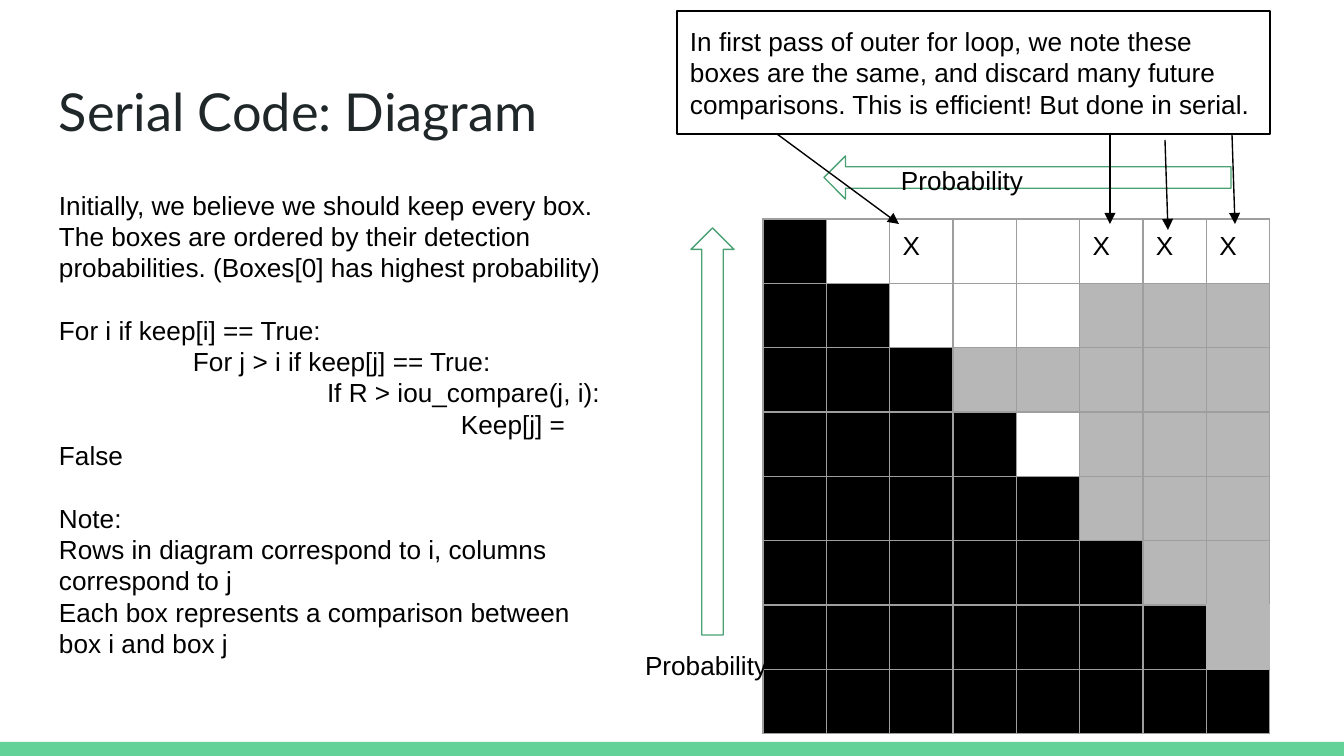
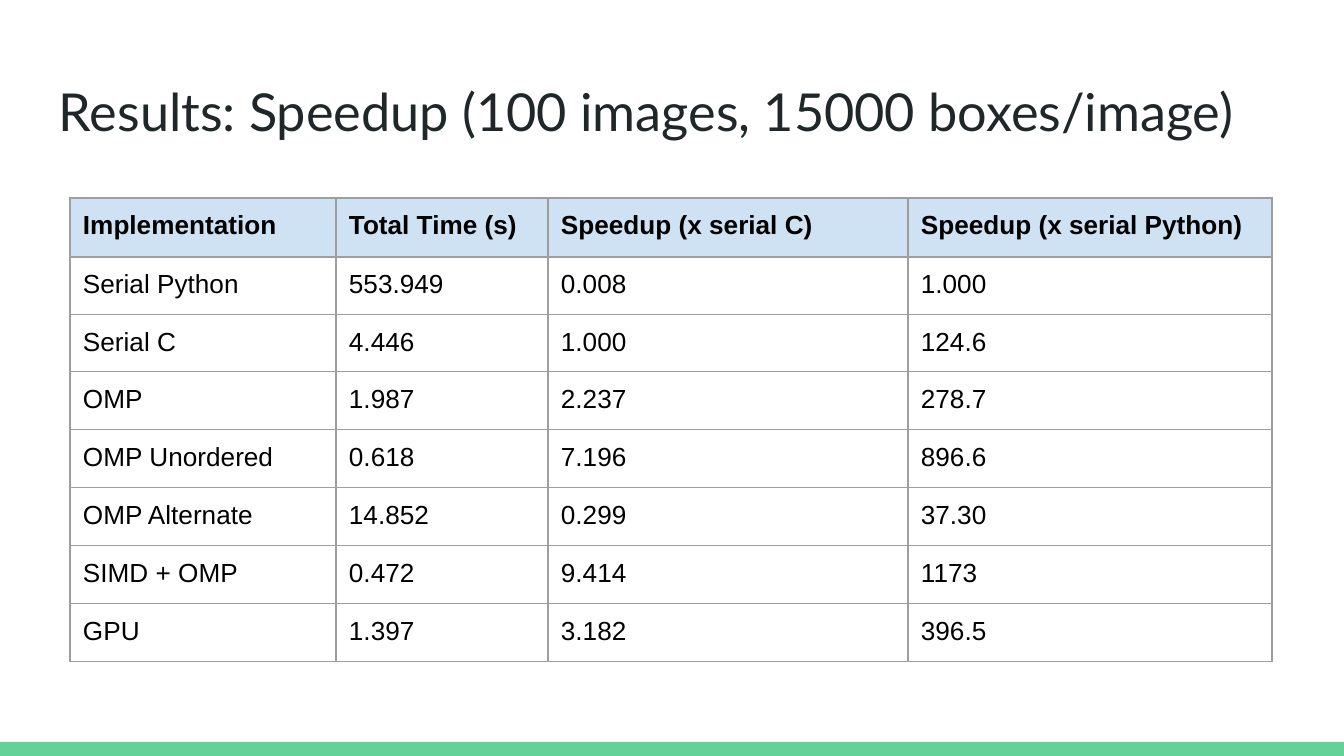
from pptx import Presentation
from pptx.dml.color import RGBColor
from pptx.enum.shapes import MSO_CONNECTOR, MSO_SHAPE
from pptx.enum.text import MSO_ANCHOR, PP_ALIGN
from pptx.oxml.ns import qn
from pptx.util import Pt
from lxml.etree import SubElement

# Look
GREEN = RGBColor(0x63, 0xD2, 0x97)
ARROW_GREEN = RGBColor(0x4B, 0xA1, 0x73)
TITLE_INK = RGBColor(0x20, 0x27, 0x29)
BLACK = RGBColor(0, 0, 0)
GRAY = RGBColor(0xB7, 0xB7, 0xB7)
RULE = RGBColor(0x9E, 0x9E, 0x9E)
HEADER_BLUE = RGBColor(0xCF, 0xE2, 0xF3)
TITLE_FONT, BODY_FONT = "Lato", "Arial"
TITLE_SIZE, BODY_SIZE = 28, 14
INSET, LINE_HEIGHT, TAB = 13, 31, 134
HAIRLINE = Pt(0.75)

# Slide 1 content: (text, indent level, gap above in lines)
DIAGRAM_TITLE = "Serial Code: Diagram"
EXPLANATION = [
    ("Initially, we believe we should keep every box. The boxes are ordered by their "
     "detection probabilities. (Boxes[0] has highest probability)", 0, 0),
    ("For i if keep[i] == True:", 0, 1),
    ("For j > i if keep[j] == True:", 1, 0),
    ("If R > iou_compare(j, i):", 2, 0),
    ("Keep[j] = False", 3, 0),
    ("Note:", 0, 1),
    ("Rows in diagram correspond to i, columns correspond to j", 0, 0),
    ("Each box represents a comparison between box i and box j", 0, 0),
]
CALLOUT = ("In first pass of outer for loop, we note these boxes are the same, and discard "
           "many future comparisons. This is efficient! But done in serial.")
# '#' never compared, '-' discarded, 'X' found to be the same, '.' still compared
COMPARISONS = [
    "#.X..XXX",
    "##...---",
    "###-----",
    "####.---",
    "#####---",
    "######--",
    "#######-",
    "########",
]
CELL_FILLS = {"#": BLACK, "-": GRAY}
AXIS = "Probability"
AXIS_ARROWS = [((824, 156, 407, 43), 0), ((509, 410, 407, 43), 90)]
AXIS_LABELS = [(888, 151, 305, 40), (632, 636, 161, 40)]
POINTERS = [
    ((777, 134), (899, 224)),
    ((1110, 134), (1110, 224)),
    ((1165, 140), (1168, 230)),
    ((1232, 134), (1235, 224)),
]

# Slide 2 content
RESULTS_TITLE = "Results: Speedup (100 images, 15000 boxes/image)"
RESULTS = [
    ("Implementation", "Total Time (s)", "Speedup (x serial C)", "Speedup (x serial Python)"),
    ("Serial Python", "553.949", "0.008", "1.000"),
    ("Serial C", "4.446", "1.000", "124.6"),
    ("OMP", "1.987", "2.237", "278.7"),
    ("OMP Unordered", "0.618", "7.196", "896.6"),
    ("OMP Alternate", "14.852", "0.299", "37.30"),
    ("SIMD + OMP", "0.472", "9.414", "1173"),
    ("GPU", "1.397", "3.182", "396.5"),
]
RESULT_WIDTHS = [266, 212, 360, 364]
RESULT_HEIGHTS = [59, 57, 57] + [58] * 5


def px(length):
    return round(length * 914400 / 134.4)


def place(box):
    return [px(length) for length in box]


def style(paragraph, size=BODY_SIZE, font=BODY_FONT, color=BLACK, bold=False):
    paragraph.alignment = PP_ALIGN.LEFT
    paragraph.font.size = Pt(size)
    paragraph.font.name = font
    paragraph.font.color.rgb = color
    paragraph.font.bold = bold


def set_insets(holder):
    holder.margin_left = holder.margin_right = px(INSET)
    holder.margin_top = holder.margin_bottom = px(INSET)


def write(shape, lines, anchor=MSO_ANCHOR.TOP, **look):
    frame = shape.text_frame
    frame.word_wrap = True
    frame.vertical_anchor = anchor
    set_insets(frame)
    frame.text = "\n".join(text for text, _, _ in lines)
    for paragraph, (_, level, gap) in zip(frame.paragraphs, lines):
        if level:
            # Only the first line moves in, so wrapped words return to the margin
            properties = paragraph._p.get_or_add_pPr()
            properties.set("marL", "0")
            properties.set("indent", str(px(TAB * level)))
        if gap:
            paragraph.space_before = px(LINE_HEIGHT * gap)
        style(paragraph, **look)


def add_text(slide, box, lines, **look):
    write(slide.shapes.add_textbox(*place(box)), lines, **look)


def add_outline(slide, preset, box, color):
    shape = slide.shapes.add_shape(preset, *place(box))
    shape.shadow.inherit = False
    shape.fill.background()
    shape.line.color.rgb = color
    shape.line.width = HAIRLINE
    return shape


def add_pointer(slide, start, end):
    pointer = slide.shapes.add_connector(MSO_CONNECTOR.STRAIGHT, *place(start + end))
    pointer.line.color.rgb = BLACK
    pointer.line.width = HAIRLINE
    SubElement(pointer.line._get_or_add_ln(), qn("a:tailEnd"), type="triangle")
    SubElement(pointer._element.spPr, qn("a:effectLst"))


def border(cell, side, color):
    line = SubElement(cell._tc.get_or_add_tcPr(), qn(f"a:ln{side}"), w=str(HAIRLINE))
    SubElement(SubElement(line, qn("a:solidFill")), qn("a:srgbClr"), val=str(color))


def add_grid(slide, left, top, widths, heights, cells):
    """cells holds rows of (text, fill or None, bold, {side: border colour})."""
    box = place((left, top, sum(widths), sum(heights)))
    table = slide.shapes.add_table(len(heights), len(widths), *box).table
    table.first_row = table.horz_banding = False
    for column, width in zip(table.columns, widths):
        column.width = px(width)
    for row, height, contents in zip(table.rows, heights, cells):
        row.height = px(height)
        for cell, (text, fill, bold, edges) in zip(row.cells, contents):
            cell.text_frame.text = text
            set_insets(cell)
            style(cell.text_frame.paragraphs[0], bold=bold)
            for side in "LRTB":
                border(cell, side, edges.get(side, RULE))
            if fill is None:
                cell.fill.background()
            else:
                cell.fill.solid()
                cell.fill.fore_color.rgb = fill


def add_slide(deck, title):
    slide = deck.slides.add_slide(deck.slide_layouts[6])
    band = slide.shapes.add_shape(MSO_SHAPE.RECTANGLE, *place((0, 742, 1344, 14)))
    band.shadow.inherit = False
    band.fill.solid()
    band.fill.fore_color.rgb = GREEN
    band.line.fill.background()
    add_text(slide, (46, 66, 1252, 84), [(title, 0, 0)],
             size=TITLE_SIZE, font=TITLE_FONT, color=TITLE_INK)
    return slide


def build_diagram(deck):
    slide = add_slide(deck, DIAGRAM_TITLE)

    # Comparison matrix; the last discarded cell blends into its surroundings
    soft_edges = {
        (5, 7): {"B": GRAY},
        (6, 6): {"R": GRAY},
        (6, 7): dict.fromkeys("LRTB", GRAY),
        (7, 7): {"T": GRAY},
    }
    count = len(COMPARISONS)
    cells = [[("X" if mark == "X" else "", CELL_FILLS.get(mark), False,
               soft_edges.get((i, j), {}))
              for j, mark in enumerate(row)] for i, row in enumerate(COMPARISONS)]
    add_grid(slide, 763, 219, [507 / count] * count, [515 / count] * count, cells)

    # Probability axes
    for (box, turn), label_box in zip(AXIS_ARROWS, AXIS_LABELS):
        add_outline(slide, MSO_SHAPE.LEFT_ARROW, box, ARROW_GREEN).rotation = turn
        add_text(slide, label_box, [(AXIS, 0, 0)])

    # Explanation and callout
    add_text(slide, (46, 176, 586, 538), EXPLANATION)
    callout = add_outline(slide, MSO_SHAPE.RECTANGLE, (677, 11, 593, 123), BLACK)
    write(callout, [(CALLOUT, 0, 0)], anchor=MSO_ANCHOR.MIDDLE)
    for start, end in POINTERS:
        add_pointer(slide, start, end)


def build_results(deck):
    slide = add_slide(deck, RESULTS_TITLE)
    cells = [[(text, None if i else HEADER_BLUE, i == 0, {}) for text in row]
             for i, row in enumerate(RESULTS)]
    add_grid(slide, 70, 198, RESULT_WIDTHS, RESULT_HEIGHTS, cells)


def main():
    deck = Presentation()
    deck.slide_width, deck.slide_height = px(1344), px(756)
    build_diagram(deck)
    build_results(deck)
    deck.save("out.pptx")


if __name__ == "__main__":
    main()
